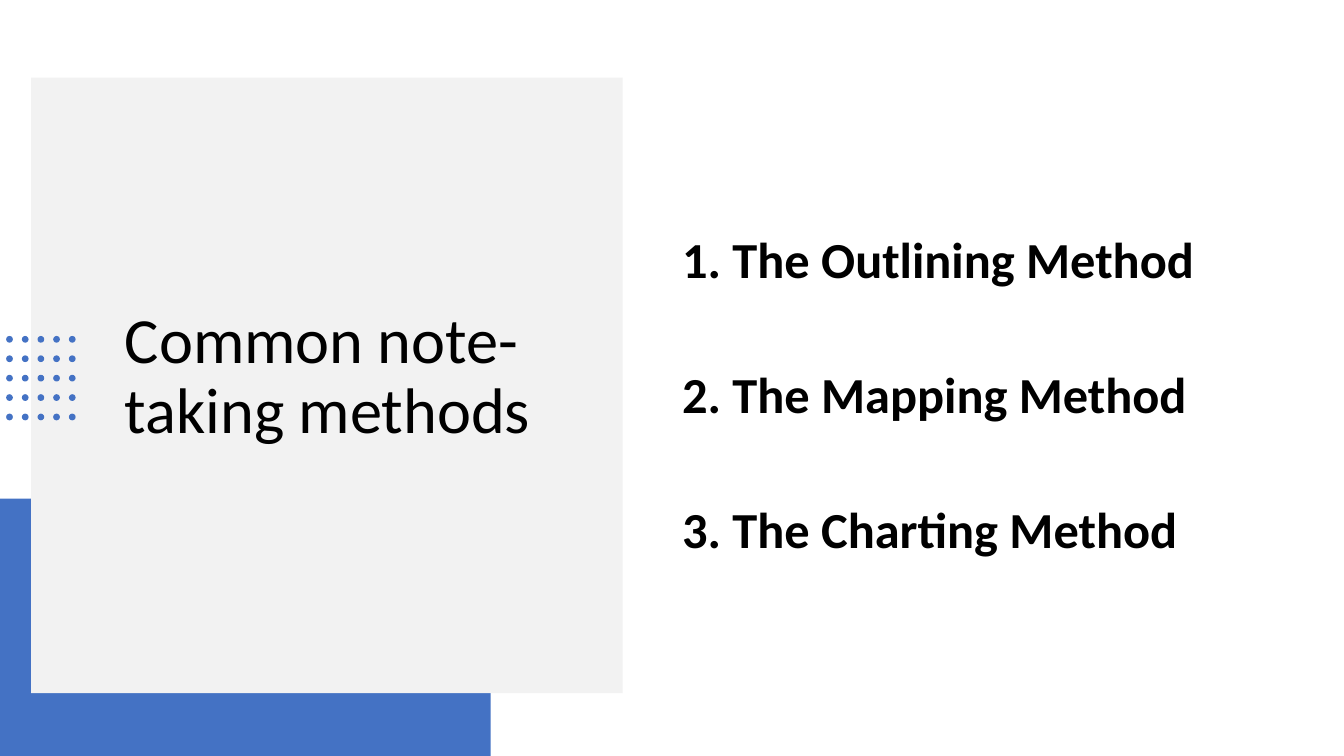
import itertools
from dataclasses import dataclass

import pptx
import pptx.dml.color
import pptx.enum.shapes
import pptx.enum.text
import pptx.util

Pt = pptx.util.Pt
SHAPE = pptx.enum.shapes.MSO_SHAPE
BLUE, GRAY, BLACK = "4472C4", "F2F2F2", "000000"


@dataclass
class Box:
    x: float
    y: float
    w: float
    h: float

    def lengths(self) -> list:
        return [Pt(v) for v in (self.x, self.y, self.w, self.h)]


def color(value: str) -> pptx.dml.color.RGBColor:
    return pptx.dml.color.RGBColor.from_string(value)


def add_filled(shapes, kind, box: Box, fill: str) -> None:
    sp = shapes.add_shape(kind, *box.lengths())
    sp.shadow.inherit = False
    sp.fill.solid()
    sp.fill.fore_color.rgb = color(fill)
    sp.line.fill.background()


def add_text(s, lines: list[str], box: Box, *, size: float, spacing: float,
             before: float = 0, bold: bool = False, inset_x: float = 7.2,
             inset_y: float = 3.6) -> None:
    tf = s.shapes.add_textbox(*box.lengths()).text_frame
    tf.word_wrap = True
    tf.vertical_anchor = pptx.enum.text.MSO_ANCHOR.MIDDLE
    tf.margin_left = tf.margin_right = Pt(inset_x)
    tf.margin_top = tf.margin_bottom = Pt(inset_y)
    for i, line in enumerate(lines):
        p = tf.paragraphs[0] if i == 0 else tf.add_paragraph()
        p.line_spacing = spacing
        p.space_before = Pt(before)
        r = p.add_run()
        r.text = line
        r.font.name = "Calibri"
        r.font.size = Pt(size)
        r.font.bold = bold
        r.font.color.rgb = color(BLACK)


def add_dot_grid(s, x: float, y: float, dx: float, dy: float,
                 count: int, size: float) -> None:
    group = s.shapes.add_group_shape()
    for col, row in itertools.product(range(count), repeat=2):
        add_filled(group.shapes, SHAPE.OVAL,
                   Box(x + col * dx, y + row * dy, size, size), BLUE)


def main() -> None:
    prs = pptx.Presentation()
    prs.slide_width, prs.slide_height = Pt(720), Pt(405)
    s = prs.slides.add_slide(prs.slide_layouts[6])

    # Blue corner behind the gray panel
    add_filled(s.shapes, SHAPE.RECTANGLE, Box(0, 267.2, 262.8, 137.8), BLUE)
    add_filled(s.shapes, SHAPE.RECTANGLE, Box(16.6, 41.6, 317, 329.7), GRAY)

    # Title
    add_text(s, ["Common note-taking methods"], Box(59.8, 79.2, 247.7, 246.2),
             size=34.5, spacing=0.9)

    # Dots across the panel's left edge
    add_dot_grid(s, x=3.3, y=180, dx=8.4, dy=10.4, count=5, size=3.6)

    # Numbered methods
    methods = ["Outlining", "Mapping", "Charting"]
    add_text(s, [f"{i}. The {name} Method" for i, name in enumerate(methods, 1)],
             Box(360, 84.2, 343.4, 220.3), size=27, spacing=2, before=7.5,
             bold=True, inset_x=5.4, inset_y=2.7)

    prs.save("out.pptx")


if __name__ == "__main__":
    main()
